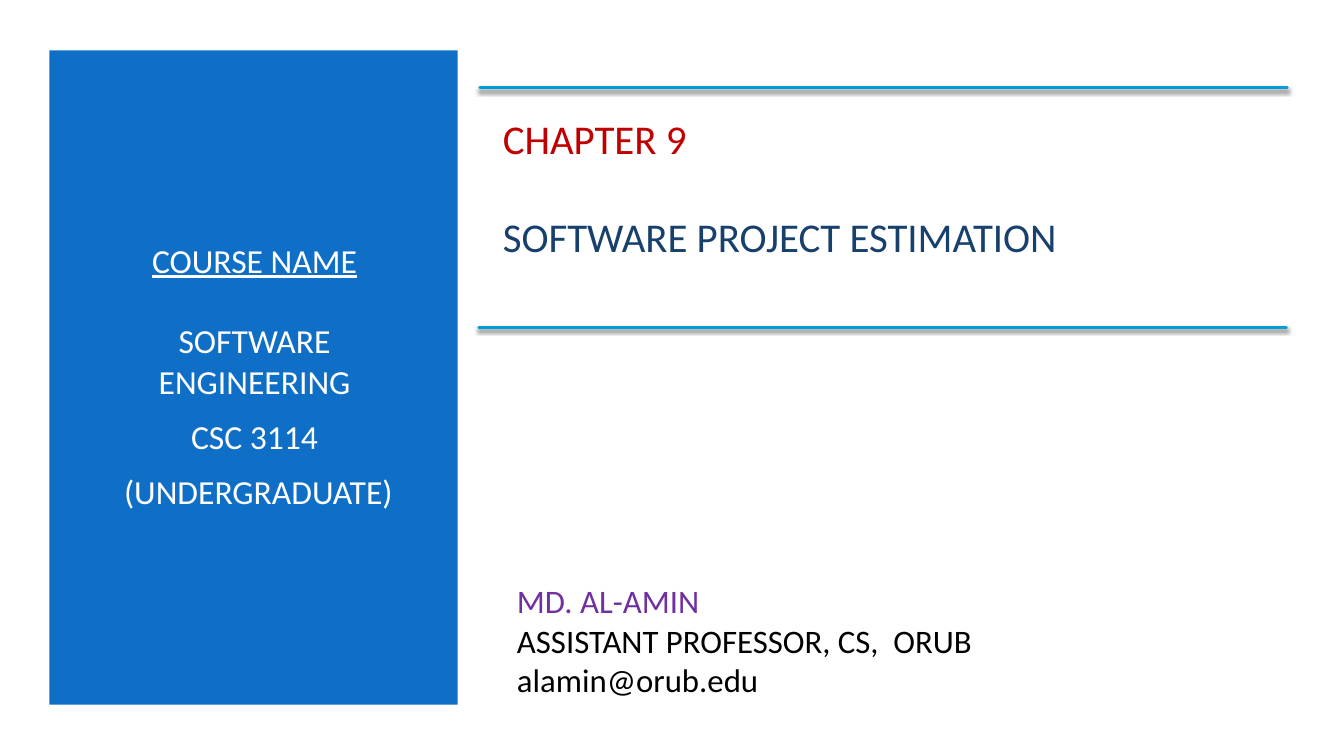
from lxml.etree import SubElement
from pptx import Presentation
from pptx.dml.color import RGBColor
from pptx.enum.shapes import MSO_CONNECTOR, MSO_SHAPE
from pptx.enum.text import MSO_ANCHOR, PP_ALIGN
from pptx.oxml.ns import qn
from pptx.util import Inches, Pt

WHITE = RGBColor(0xFF, 0xFF, 0xFF)
BLACK = RGBColor(0x00, 0x00, 0x00)
BLUE = RGBColor(0x0F, 0x6F, 0xC6)
CYAN = RGBColor(0x00, 0x9D, 0xD9)
NAVY = RGBColor(0x17, 0x40, 0x6D)
RED = RGBColor(0xC0, 0x00, 0x00)
PURPLE = RGBColor(0x70, 0x30, 0xA0)

deck = Presentation()
deck.slide_width, deck.slide_height = Inches(13.33), Inches(7.5)
slide = deck.slides.add_slide(deck.slide_layouts[6])
shapes = slide.shapes


def place(left, top, width, height):
    """Turn percentages of the slide into lengths."""
    wide, high = deck.slide_width / 100, deck.slide_height / 100
    return int(left * wide), int(top * high), int(width * wide), int(height * high)


# White ground and blue side panel
for area, color in [((0, 0, 100, 100), WHITE), ((3.68, 6.67, 30.38, 86.53), BLUE)]:
    panel = shapes.add_shape(MSO_SHAPE.RECTANGLE, *place(*area))
    panel.shadow.inherit = False
    panel.fill.solid()
    panel.fill.fore_color.rgb = color
    panel.line.fill.background()

# Each line: text, colour, underline, space before, space after
course = [
    ("COURSE NAME", WHITE, True, 4.8, 24),
    ("SOFTWARE ENGINEERING", WHITE, False, 4.8, 6),
    ("CSC 3114", WHITE, False, 4.8, 6),
    (" (UNDERGRADUATE)", WHITE, False, 4.8, 6),
]
title = [
    ("CHAPTER 9", RED, False, 0, 35),
    ("SOFTWARE PROJECT ESTIMATION", NAVY, False, 0, 0),
]
author = [
    ("MD. AL-AMIN", PURPLE, False, 0, 0),
    ("ASSISTANT PROFESSOR, CS,  ORUB", BLACK, False, 0, 0),
    ("alamin@orub.edu", BLACK, False, 0, 0),
]
blocks = [
    ((6.3, 14.67, 25.28, 70), 24, PP_ALIGN.CENTER, course),
    ((36.68, 14.67, 58.88, 20.13), 29.2, PP_ALIGN.LEFT, title),
    ((37.73, 74.27, 49.95, 20.8), 23.4, PP_ALIGN.LEFT, author),
]
for area, size, align, lines in blocks:
    frame = shapes.add_textbox(*place(*area)).text_frame
    frame.word_wrap = True
    frame.vertical_anchor = MSO_ANCHOR.MIDDLE
    for row, (text, color, under, before, after) in enumerate(lines):
        para = frame.add_paragraph() if row else frame.paragraphs[0]
        look = {"alignment": align, "space_before": Pt(before), "space_after": Pt(after)}
        for name, value in look.items():
            setattr(para, name, value)
        run = para.add_run()
        run.text = text
        style = {"name": "Calibri", "size": Pt(size), "underline": under}
        for name, value in style.items():
            setattr(run.font, name, value)
        run.font.color.rgb = color

# Rules above and below the title, with a soft shadow
for left, top in [(35.7, 11.6), (35.63, 43.33)]:
    x, y, width, _ = place(left, top, 60.08, 0)
    rule = shapes.add_connector(MSO_CONNECTOR.STRAIGHT, x, y, x + width, y)
    rule.line.color.rgb = CYAN
    rule.line.width = Pt(2)
    rule.line._get_or_add_ln().set("cap", "rnd")
    effect = SubElement(rule._element.spPr, qn("a:effectLst"))
    shade = SubElement(effect, qn("a:outerShdw"), blurRad=str(Pt(3)),
                       dist=str(Pt(2)), dir="5400000", rotWithShape="0")
    tint = SubElement(shade, qn("a:srgbClr"), val=str(BLACK))
    SubElement(tint, qn("a:alpha"), val="55000")

deck.save("out.pptx")
